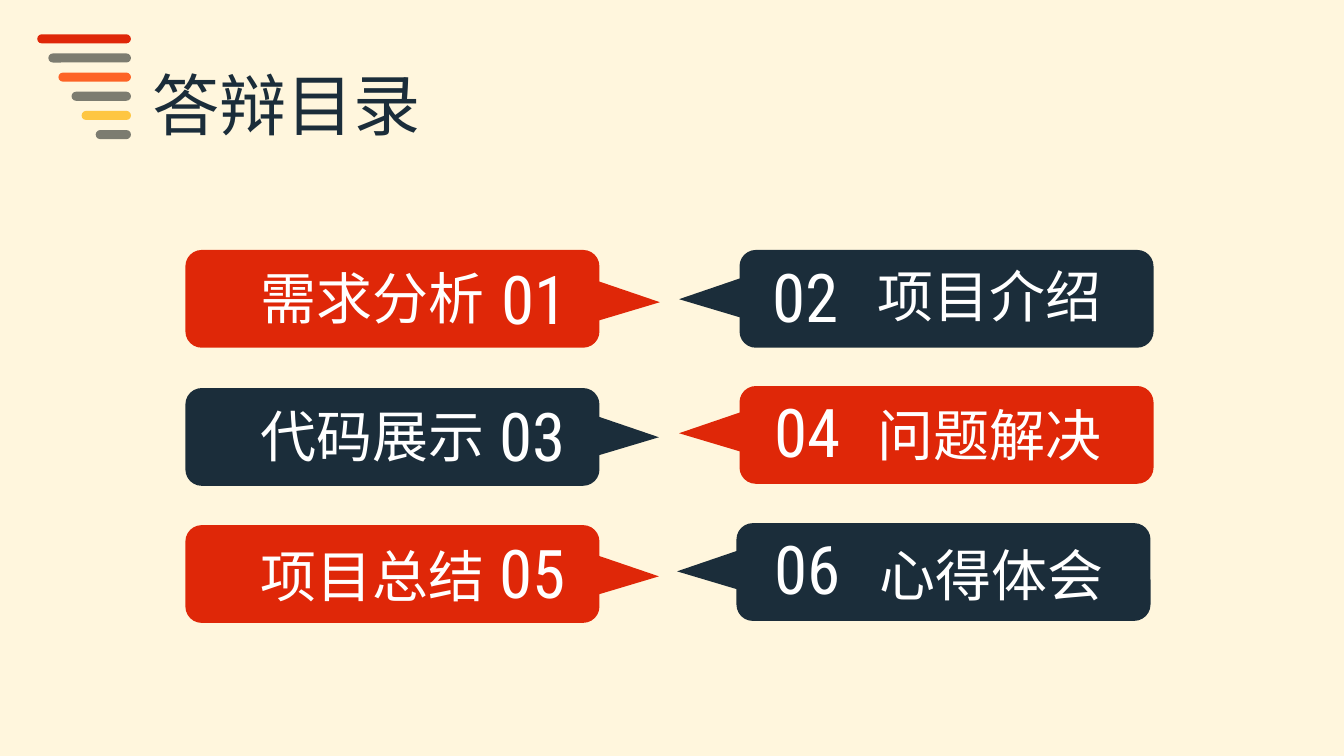
"""Build the contents slide of a thesis defence: six numbered callouts in two columns."""
from pptx import Presentation
from pptx.dml.color import RGBColor
from pptx.enum.shapes import MSO_SHAPE as SHAPE
from pptx.enum.text import MSO_ANCHOR as ANCHOR, MSO_AUTO_SIZE as AUTO, PP_ALIGN as ALIGN
from pptx.oxml.ns import qn
from pptx.util import Inches, Pt
from lxml import etree

RED, NAVY, GREY, WHITE = "DF2708", "1B2D3A", "7C7C70", "FFFFFF"
HAN, DIGITS = "Noto Sans CJK SC", "Roboto Condensed"


def add_block(shapes, kind, box, color, adj):
    sp = shapes.add_shape(kind, *map(Inches, box))
    sp.shadow.inherit = False
    sp.fill.solid()
    sp.fill.fore_color.rgb = RGBColor.from_string(color)
    sp.line.fill.background()
    sp.adjustments[0] = adj
    return sp


def write(sp, text, size, font, color):
    tf = sp.text_frame
    tf.text = text
    tf.word_wrap = False
    tf.auto_size = AUTO.NONE
    tf.vertical_anchor = ANCHOR.TOP
    p = tf.paragraphs[0]
    p.alignment = ALIGN.LEFT
    r = p.runs[0]
    r.font.size = Pt(size)
    r.font.name = font
    r.font.color.rgb = RGBColor.from_string(color)
    etree.SubElement(r.font._element, qn("a:ea"), typeface=font)


prs = Presentation()
prs.slide_width, prs.slide_height = Inches(13.34), Inches(7.5)
s = prs.slides.add_slide(prs.slide_layouts[5])
s.background.fill.solid()
s.background.fill.fore_color.rgb = RGBColor.from_string("FFF6DD")

title = s.shapes.title
title.left, title.top, title.width, title.height = map(Inches, (1.41, 0.58, 3.1, 0.9))
write(title, "答辩目录", 48, HAN, NAVY)

bars = [(0.93, RED), (0.82, GREY), (0.72, "FD6326"), (0.59, GREY), (0.49, "FEC642"), (0.35, GREY)]
emblem = s.shapes.add_group_shape()
for i, (width, color) in enumerate(bars):
    box = (1.3 - width, 0.34 + 0.19 * i, width, 0.09)
    add_block(emblem.shapes, SHAPE.ROUNDED_RECTANGLE, box, color, 0.5)

callouts = [
    ("需求分析", (1.84, 2.48), (6.05, 2.68), (4.88, 2.5), (2.49, 2.57)),
    ("项目介绍", (7.34, 2.48), (6.85, 2.65), (7.57, 2.48), (8.61, 2.55)),
    ("代码展示", (1.84, 3.85), (6.04, 4.02), (4.86, 3.86), (2.49, 3.93)),
    ("问题解决", (7.34, 3.83), (6.85, 3.98), (7.59, 3.82), (8.61, 3.92)),
    ("项目总结", (1.84, 5.21), (6.04, 5.4), (4.86, 5.22), (2.49, 5.32)),
    ("心得体会", (7.31, 5.19), (6.83, 5.35), (7.59, 5.18), (8.63, 5.31)),
]
for i, (label, card_at, arrow_at, number_at, label_at) in enumerate(callouts):
    color = RED if i in (0, 3, 4) else NAVY
    on_left = i % 2 == 0
    shapes = s.shapes.add_group_shape().shapes
    add_block(shapes, SHAPE.ROUNDED_RECTANGLE, (*card_at, 4.11, 0.97), color, 0.167)
    arrow = add_block(shapes, SHAPE.ISOSCELES_TRIANGLE, (*arrow_at, 0.39, 0.61), color,
                      0.533 if on_left else 0.467)
    arrow.rotation = 90 if on_left else 270
    number = shapes.add_textbox(*map(Inches, (*number_at, 1.11, 0.9)))
    write(number, f"{i + 1:02d}", 48, DIGITS, WHITE)
    caption = shapes.add_textbox(*map(Inches, (*label_at, 2.42, 0.77)))
    write(caption, label, 40, HAN, WHITE)

prs.save("out.pptx")
